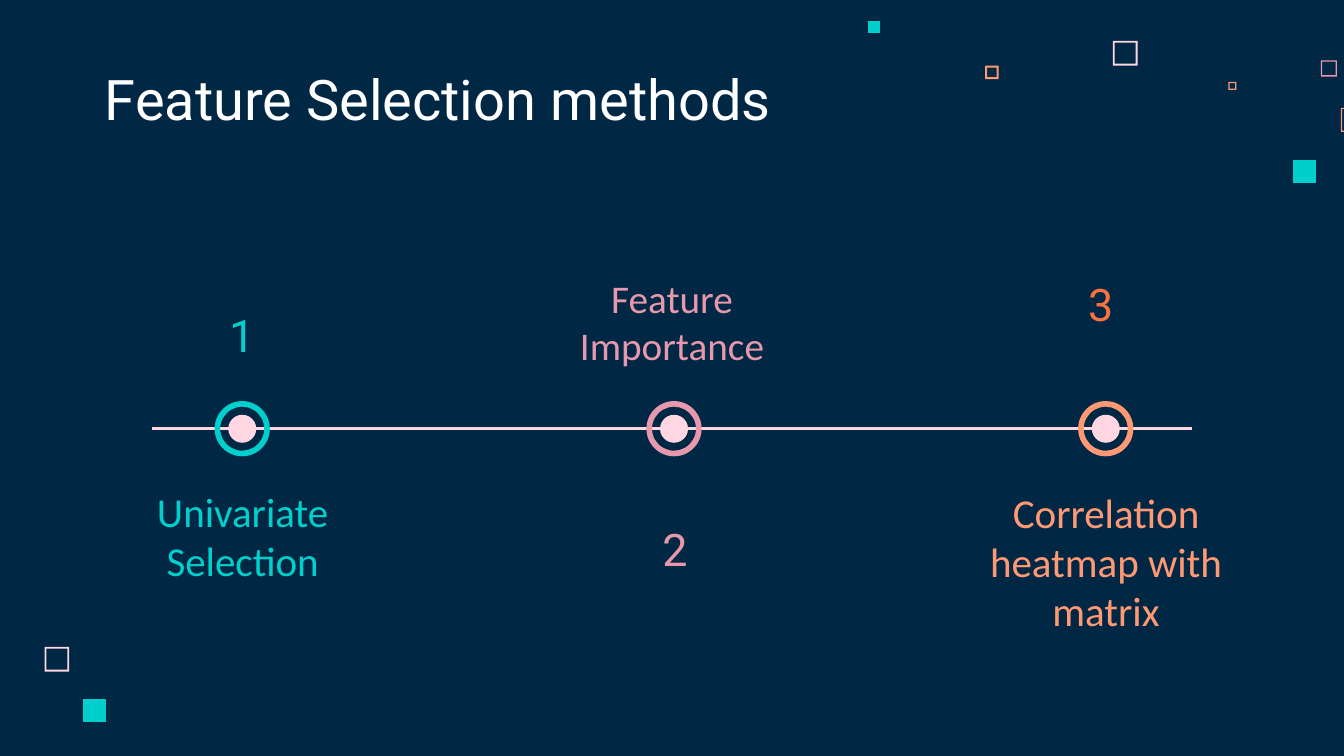
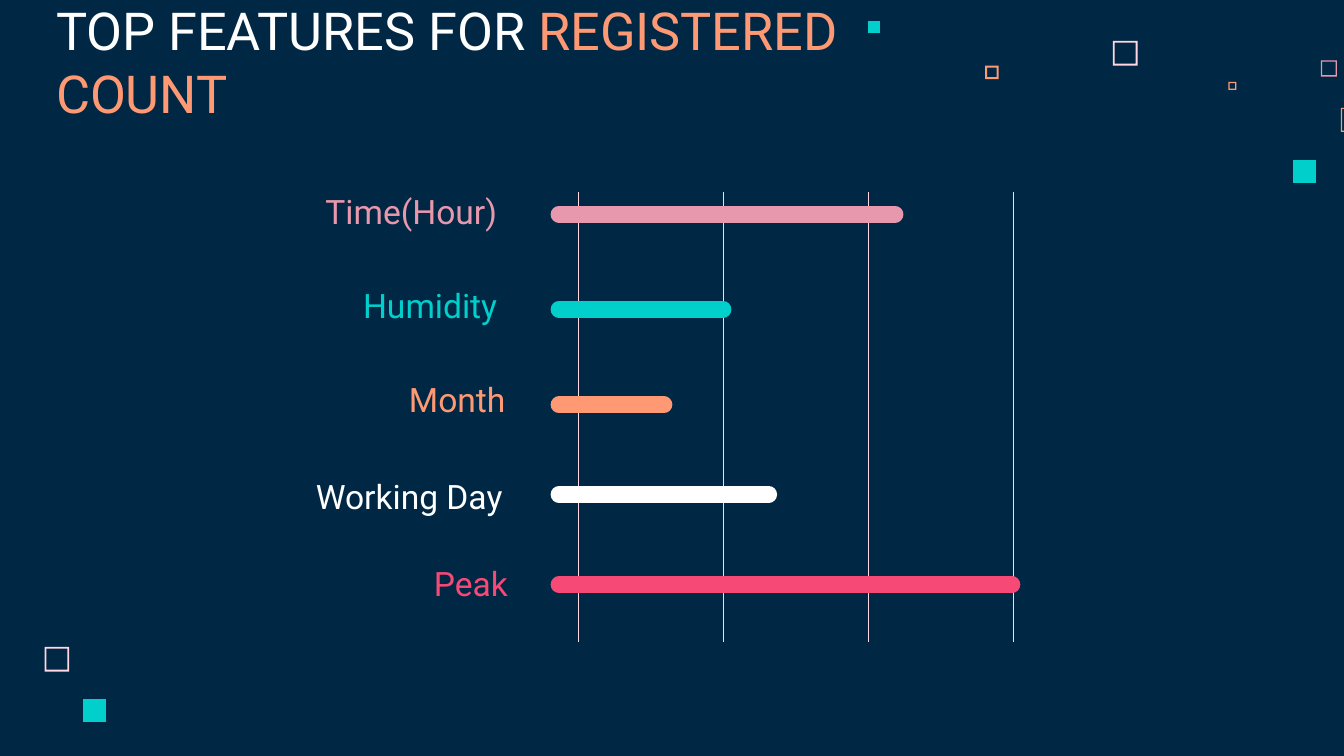
from dataclasses import dataclass

from lxml.etree import SubElement
from pptx import Presentation
from pptx.dml.color import RGBColor
from pptx.enum.shapes import MSO_CONNECTOR, MSO_SHAPE
from pptx.enum.text import MSO_ANCHOR, PP_ALIGN
from pptx.oxml.ns import qn
from pptx.util import Pt


@dataclass(frozen=True)
class Theme:
    navy: str = "002845"
    white: str = "FFFFFF"
    blush: str = "FFD6E1"
    rose: str = "E898AC"
    teal: str = "00CFCC"
    coral: str = "FF9973"
    orange: str = "FC723F"
    pink: str = "F64975"
    heading_font: str = "Roboto"
    method_font: str = "Calibri"
    title_size: int = 30
    long_title_size: int = 28
    number_size: int = 24
    method_size: int = 22
    short_method_size: int = 21
    feature_size: int = 18
    inset: float = 7.2


@dataclass(frozen=True)
class Box:
    x: float
    y: float
    w: float
    h: float

    def within(self, x, y, w, h):
        return Box(self.x + x, self.y + y, w, h)

    def lengths(self):
        return Pt(self.x), Pt(self.y), Pt(self.w), Pt(self.h)


THEME = Theme()
PAGE = Box(0, 0, 720, 405)

SQUARES = [
    (596.2, 21.9, 13.2, 1, THEME.blush),
    (707.6, 32.4, 8.6, 0.7, THEME.rose),
    (658.1, 43.9, 4.3, 0.7, THEME.coral),
    (718.4, 57.8, 12.8, 0.6, THEME.coral),
    (692.6, 85.7, 12.3, 0, THEME.teal),
    (527.8, 35.2, 7.2, 1, THEME.coral),
    (465.1, 11.3, 6.4, 0, THEME.teal),
    (23.9, 346.6, 13.2, 1, THEME.blush),
    (44.6, 374.5, 12.3, 0, THEME.teal),
]

METHODS = [
    ("1", THEME.teal, THEME.teal, (2.1, 17.7),
     "Univariate Selection", THEME.method_size, (-10.8, 118.5, 118.8, 56.9)),
    ("2", THEME.rose, THEME.rose, (234, 132.2),
     "Feature Importance", THEME.short_method_size, (214.5, 1.1, 128.2, 61.9)),
    ("3", THEME.coral, THEME.orange, (462.2, 1.1),
     "Correlation heatmap with matrix", THEME.method_size, (437, 118.5, 148.3, 84.2)),
]

FEATURES = [
    ("Time(Hour) ", THEME.rose, 129.6, 100.1, 114.8, 180),
    ("Humidity ", THEME.teal, 129.6, 150.5, 165.7, 87.8),
    ("Month", THEME.coral, 129.6, 200.9, 216.9, 56.2),
    ("Working Day ", THEME.white, 132.5, 252.7, 264.9, 112.3),
    ("Peak ", THEME.pink, 135.4, 299.5, 313.2, 242.6),
]


def color(code):
    return RGBColor.from_string(code)


def fill_plain(shape, code):
    shape.shadow.inherit = False
    shape.fill.solid()
    shape.fill.fore_color.rgb = color(code)
    shape.line.fill.background()


def add_text(slide, box, runs, size, font=THEME.heading_font,
             align=PP_ALIGN.LEFT, anchor=MSO_ANCHOR.BOTTOM):
    frame = slide.shapes.add_textbox(*box.lengths()).text_frame
    frame.word_wrap = True
    frame.vertical_anchor = anchor
    frame.margin_left = frame.margin_right = Pt(THEME.inset)
    frame.margin_top = frame.margin_bottom = Pt(THEME.inset)
    paragraph = frame.paragraphs[0]
    paragraph.alignment = align
    for words, code in runs:
        run = paragraph.add_run()
        run.text = words
        run.font.name = font
        run.font.size = Pt(size)
        run.font.color.rgb = color(code)


def add_rule(slide, x1, y1, x2, y2, code, width, rounded=False):
    rule = slide.shapes.add_connector(
        MSO_CONNECTOR.STRAIGHT, Pt(x1), Pt(y1), Pt(x2), Pt(y2))
    rule.line.color.rgb = color(code)
    rule.line.width = Pt(width)
    if rounded:
        rule.line._get_or_add_ln().set("cap", "rnd")
    SubElement(rule._element.spPr, qn("a:effectLst"))


def add_square(slide, box, wall, code):
    x, y, side, _ = box.lengths()
    builder = slide.shapes.build_freeform(x, y)
    builder.add_line_segments(
        [(x, y + side), (x + side, y + side), (x + side, y)], close=True)
    if wall:
        left, top = x + Pt(wall), y + Pt(wall)
        right, bottom = x + side - Pt(wall), y + side - Pt(wall)
        builder.move_to(right, top)
        builder.add_line_segments(
            [(right, bottom), (left, bottom), (left, top)], close=True)
    fill_plain(builder.convert_to_shape(), code)


def add_page(deck, box):
    slide = deck.slides.add_slide(deck.slide_layouts[6])
    slide.background.fill.solid()
    slide.background.fill.fore_color.rgb = color(THEME.navy)
    for x, y, side, wall, code in SQUARES:
        add_square(slide, box.within(x, y, side, side), wall, code)
    return slide


def add_milestone(slide, center_x, center_y, code):
    group = slide.shapes.add_group_shape()
    for preset, size, paint in ((MSO_SHAPE.OVAL, 15, THEME.blush),
                                (MSO_SHAPE.DONUT, 29.6, code)):
        spot = Box(center_x - size / 2, center_y - size / 2, size, size)
        mark = group.shapes.add_shape(preset, *spot.lengths())
        fill_plain(mark, paint)
        if preset == MSO_SHAPE.DONUT:
            mark.adjustments[0] = 0.102


def add_timeline(slide, box):
    axis_y = box.y + 89.7
    first, step = box.x + 48.4, 231.3
    add_rule(slide, box.x, axis_y, box.x + box.w, axis_y, THEME.blush, 1.5)
    for index, (number, code, number_code, number_at, method, size, place) in enumerate(METHODS):
        add_milestone(slide, first + index * step, axis_y, code)
        add_text(slide, box.within(*place), [(method, code)], size,
                 THEME.method_font, PP_ALIGN.CENTER, MSO_ANCHOR.MIDDLE)
        add_text(slide, box.within(*number_at, 92.2, 43.9), [(number, number_code)],
                 THEME.number_size, align=PP_ALIGN.CENTER, anchor=MSO_ANCHOR.TOP)


def add_feature_bars(slide, box):
    grid_start, grid_step, bar_start = box.x + 180.4, 77.6, box.x + 169.9
    for index in range(4):
        x = grid_start + index * grid_step
        add_rule(slide, x, box.y, x, box.y + box.h, THEME.blush, 0.25)
    for feature, code, label_x, label_y, bar_y, length in FEATURES:
        label = box.within(label_x - 129.6, label_y - 103, 148.3, 31)
        add_text(slide, label, [(feature, code)], THEME.feature_size, align=PP_ALIGN.RIGHT)
        y = box.y + bar_y - 103
        add_rule(slide, bar_start, y, bar_start + length, y, code, 9, rounded=True)


def build_methods(deck):
    slide = add_page(deck, PAGE)
    add_text(slide, PAGE.within(49, 32.4, 372.2, 45.4),
             [("Feature Selection methods", THEME.white)], THEME.title_size)
    add_timeline(slide, PAGE.within(81.4, 140, 557.2, 203))


def build_features(deck):
    slide = add_page(deck, PAGE)
    add_text(slide, PAGE.within(23, 22.3, 502.6, 51.1),
             [("TOP FEATURES FOR ", THEME.white), ("REGISTERED COUNT", THEME.coral)],
             THEME.long_title_size)
    add_feature_bars(slide, PAGE.within(129.6, 103, 413.2, 241))


def main():
    deck = Presentation()
    deck.slide_width, deck.slide_height = Pt(PAGE.w), Pt(PAGE.h)
    build_methods(deck)
    build_features(deck)
    deck.save("out.pptx")


if __name__ == "__main__":
    main()
